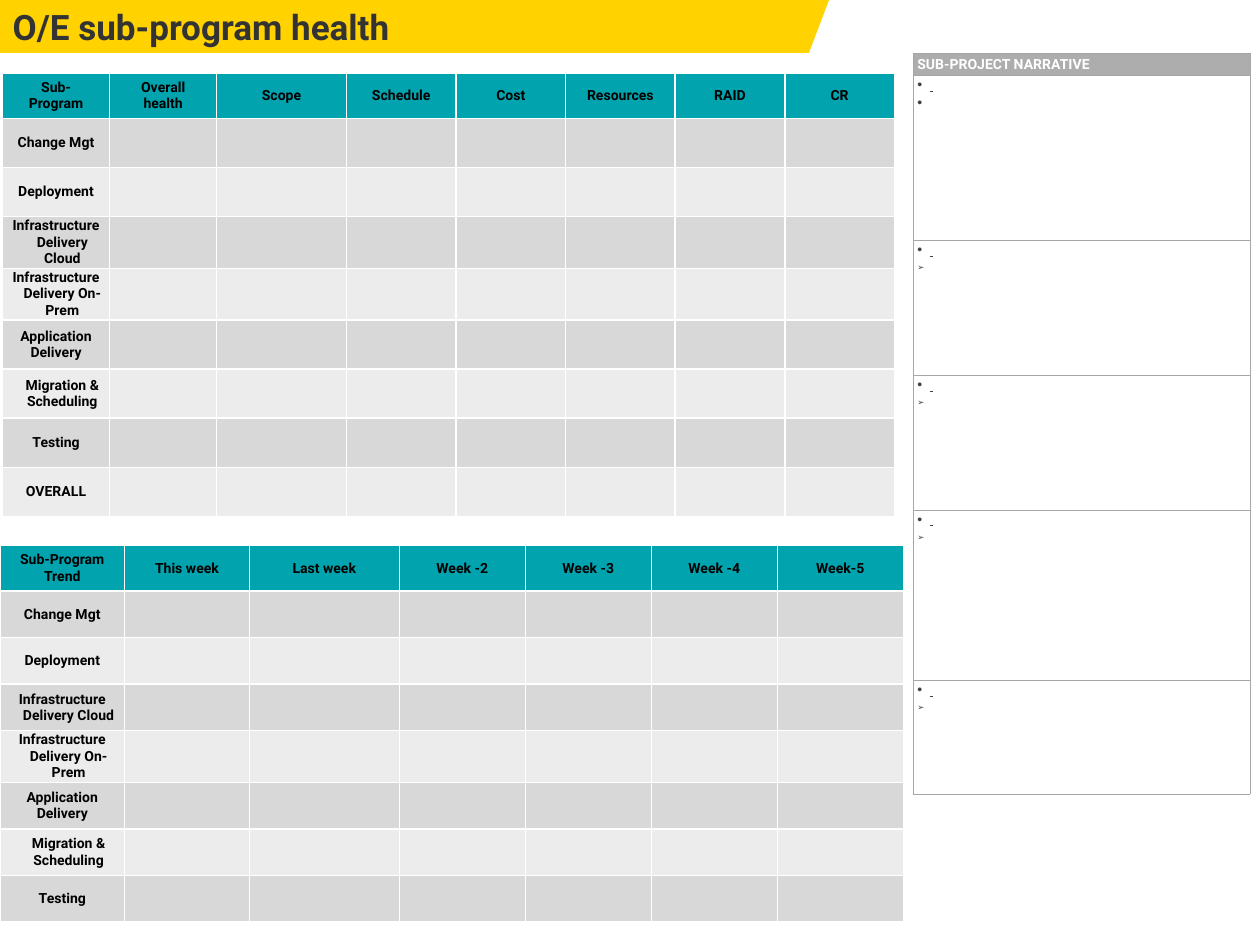
"""Build the sub-program health dashboard slide."""
from dataclasses import dataclass

from lxml import etree
from pptx import Presentation
from pptx import util as u
from pptx.dml.color import RGBColor
from pptx.enum import text
from pptx.oxml.ns import qn

COLORS = {
    "teal": "00A3AE", "yellow": "FFD200", "title": "333333", "black": "000000",
    "white": "FFFFFF", "dark_band": "D8D8D8", "light_band": "ECECED",
    "gray_header": "ADADAD", "gray_line": "A6A6A6", "bullet": "404040",
}
FONT = "Roboto"
HANG = 0.1


@dataclass(frozen=True)
class RowLabel:
    name: str
    left: float = 0
    first: float = 0


@dataclass(frozen=True)
class Grid:
    left: float
    top: float
    columns: list
    header_height: float
    row_height: float
    headers: list
    labels: list


@dataclass(frozen=True)
class Bullet:
    mark: str
    size_percent: int


DOT = Bullet("•", 100)
ARROW = Bullet("➢", 60)
PROGRAMS = [
    RowLabel("Change Mgt", HANG, -HANG),
    RowLabel("Deployment"),
    RowLabel("Infrastructure Delivery Cloud", HANG, -HANG),
    RowLabel("Infrastructure Delivery On-Prem", HANG, -HANG),
    RowLabel("Application Delivery"),
    RowLabel("Migration & Scheduling", HANG),
    RowLabel("Testing", HANG, -HANG),
]
GRIDS = [
    Grid(0.02, 0.58, [0.85, 0.85, 1.03] + [0.87] * 5, 0.33, 0.39,
         ["Sub-Program", "Overall health", "Scope", "Schedule", "Cost",
          "Resources", "RAID", "CR"],
         PROGRAMS + [RowLabel("OVERALL")]),
    Grid(0, 4.33, [0.99, 0.99, 1.19] + [1] * 4, 0.33, 0.37,
         ["Sub-Program Trend", "This week", "Last week", "Week -2", "Week -3",
          "Week -4", "Week-5"],
         PROGRAMS),
]
NARRATIVE_HEIGHTS = [0.18, 1.31, 1.07, 1.07, 1.35, 0.9]
NARRATIVE_BULLETS = [DOT] + [ARROW] * 4


def rgb(name: str) -> RGBColor:
    return RGBColor.from_string(COLORS[name])


def style_run(span, size: float, color: str, bold: bool = True) -> None:
    span.font.name = FONT
    span.font.size = u.Pt(size)
    span.font.bold = bold
    span.font.color.rgb = rgb(color)


def set_indent(para, left: float, first: float) -> None:
    properties = para._p.get_or_add_pPr()
    properties.set("marL", str(u.Inches(left)))
    properties.set("indent", str(u.Inches(first)))


def set_insets(cell, side: float, end: float) -> None:
    cell.margin_left = cell.margin_right = u.Inches(side)
    cell.margin_top = cell.margin_bottom = u.Inches(end)


def set_borders(cell, color: str, width: float) -> None:
    properties = cell._tc.get_or_add_tcPr()
    for side in "LRTB":
        line = etree.SubElement(properties, qn(f"a:ln{side}"), w=str(u.Pt(width)))
        fill = etree.SubElement(line, qn("a:solidFill"))
        etree.SubElement(fill, qn("a:srgbClr"), val=COLORS[color])


def fill_cell(cell, color: str) -> None:
    cell.fill.solid()
    cell.fill.fore_color.rgb = rgb(color)


def write_label(cell, label: RowLabel) -> None:
    cell.vertical_anchor = text.MSO_ANCHOR.MIDDLE
    cell.text_frame.text = label.name
    para = cell.text_frame.paragraphs[0]
    para.alignment = text.PP_ALIGN.CENTER
    para.space_after = u.Pt(0.8)
    set_indent(para, label.left, label.first)
    style_run(para.runs[0], 8, "black")


def add_plain_table(page, left: float, top: float, columns: list, heights: list):
    table = page.shapes.add_table(
        len(heights), len(columns), u.Inches(left), u.Inches(top),
        u.Inches(sum(columns)), u.Inches(sum(heights))).table
    table.first_row = table.horz_banding = False
    for column, width in zip(table.columns, columns):
        column.width = u.Inches(width)
    for row, height in zip(table.rows, heights):
        row.height = u.Inches(height)
    return table


def draw_grid(page, grid: Grid) -> None:
    heights = [grid.header_height] + [grid.row_height] * len(grid.labels)
    table = add_plain_table(page, grid.left, grid.top, grid.columns, heights)
    for cell, header in zip(table.rows[0].cells, grid.headers):
        set_borders(cell, "white", 1)
        fill_cell(cell, "teal")
        write_label(cell, RowLabel(header))
    for index, label in enumerate(grid.labels):
        cells = list(table.rows[index + 1].cells)
        for cell in cells:
            set_borders(cell, "white", 1)
            fill_cell(cell, "light_band" if index % 2 else "dark_band")
            set_insets(cell, 0.04, 0.01)
        write_label(cells[0], label)


def add_bullet(para, bullet: Bullet, underline: bool) -> None:
    set_indent(para, HANG, -HANG)
    properties = para._p.get_or_add_pPr()
    etree.SubElement(properties, qn("a:buSzPct"), val=str(bullet.size_percent * 1000))
    etree.SubElement(properties, qn("a:buFont"), typeface="Arial")
    etree.SubElement(properties, qn("a:buChar"), char=bullet.mark)
    para.space_after = u.Pt(0.8)
    span = para.add_run()
    span.text = " "
    style_run(span, 8, "bullet", bold=False)
    span.font.underline = underline


def draw_narrative(page) -> None:
    table = add_plain_table(page, 7.25, 0.42, [2.67], NARRATIVE_HEIGHTS)
    header, *bodies = [row.cells[0] for row in table.rows]
    for cell in (header, *bodies):
        set_borders(cell, "gray_line", 0.25)
        set_insets(cell, 0.03, 0.01)
    fill_cell(header, "gray_header")
    header.vertical_anchor = text.MSO_ANCHOR.MIDDLE
    header.text_frame.text = "SUB-PROJECT NARRATIVE"
    style_run(header.text_frame.paragraphs[0].runs[0], 8, "white")
    for cell, bullet in zip(bodies, NARRATIVE_BULLETS):
        cell.fill.background()
        frame = cell.text_frame
        add_bullet(frame.paragraphs[0], DOT, True)
        add_bullet(frame.add_paragraph(), bullet, False)


def draw_title(page) -> None:
    builder = page.shapes.build_freeform(u.Inches(6.58), 0)
    corners = [(6.42, 0.42), (0, 0.42), (0, 0)]
    builder.add_line_segments([(u.Inches(x), u.Inches(y)) for x, y in corners])
    banner = builder.convert_to_shape()
    banner.shadow.inherit = False
    banner.fill.solid()
    banner.fill.fore_color.rgb = rgb("yellow")
    banner.line.fill.background()

    title = page.shapes.title
    page.shapes._spTree.append(title._element)
    title.left, title.top = 0, 0
    title.width, title.height = u.Inches(6.42), u.Inches(0.42)
    frame = title.text_frame
    frame.text = "O/E sub-program health"
    frame.auto_size = text.MSO_AUTO_SIZE.NONE
    frame.vertical_anchor = text.MSO_ANCHOR.MIDDLE
    frame.margin_top = frame.margin_bottom = 0
    para = frame.paragraphs[0]
    para.alignment = text.PP_ALIGN.LEFT
    style_run(para.runs[0], 20, "title")


def main() -> None:
    deck = Presentation()
    deck.slide_width, deck.slide_height = u.Inches(10), u.Inches(7.5)
    page = deck.slides.add_slide(deck.slide_layouts[5])
    draw_title(page)
    for grid in GRIDS:
        draw_grid(page, grid)
    draw_narrative(page)
    deck.save("out.pptx")


if __name__ == "__main__":
    main()
